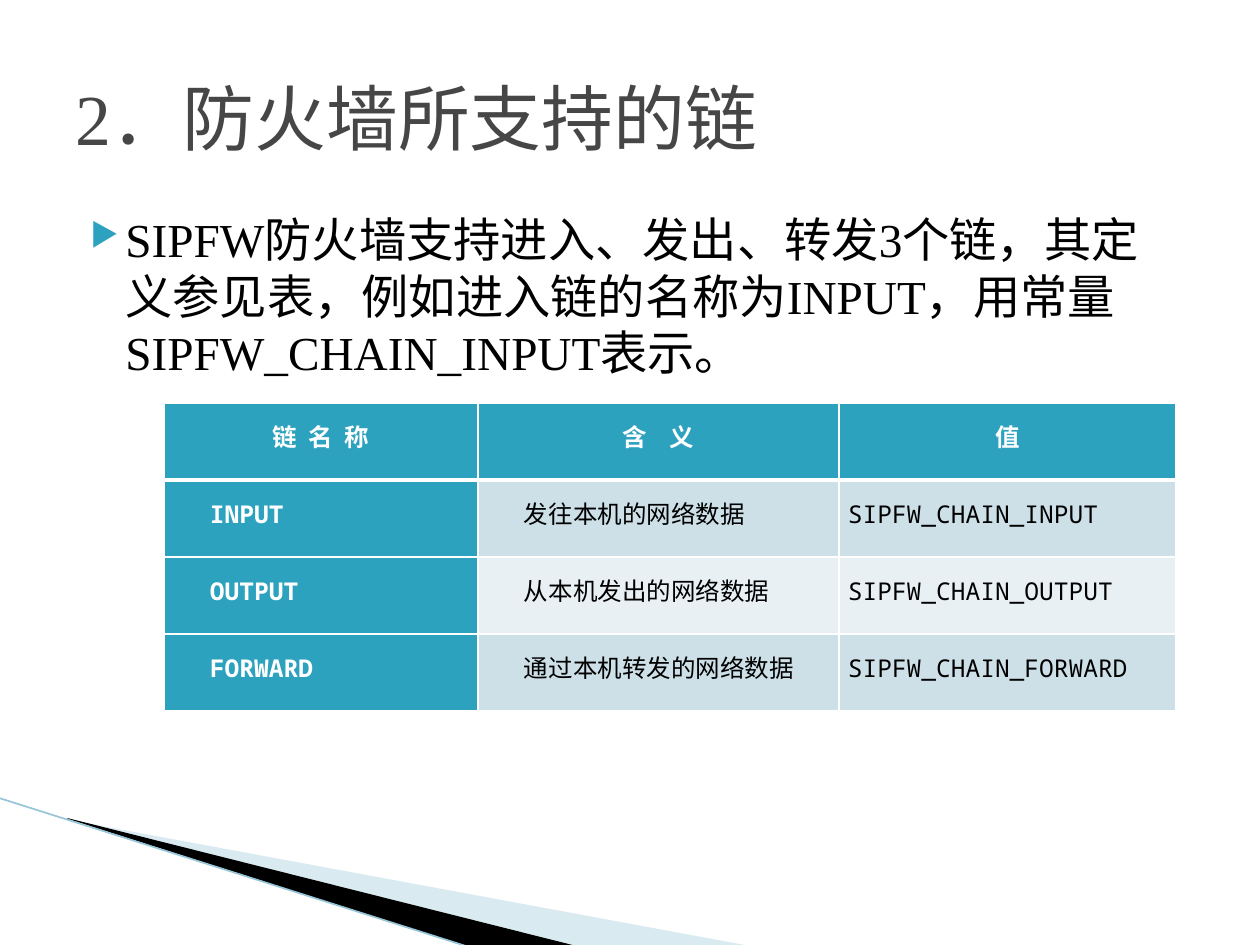
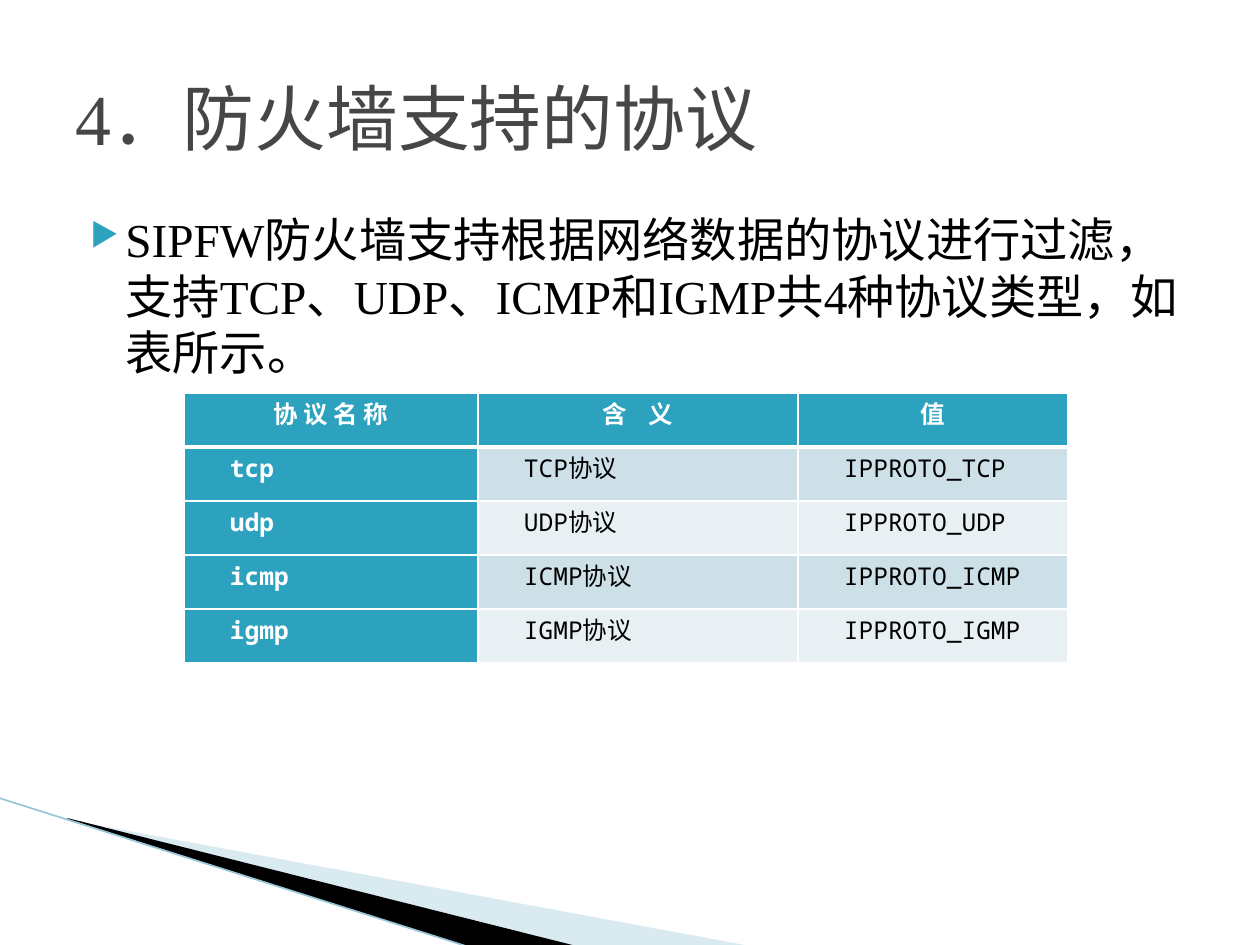
from dataclasses import dataclass
from lxml import etree
from pptx import Presentation
from pptx.dml.color import RGBColor
from pptx.enum.shapes import MSO_CONNECTOR
from pptx.enum.text import MSO_ANCHOR, PP_ALIGN
from pptx.oxml import parse_xml
from pptx.oxml.ns import nsdecls, qn
from pptx.util import Pt

LINE = MSO_CONNECTOR.STRAIGHT
MID, TOP = MSO_ANCHOR.MIDDLE, MSO_ANCHOR.TOP
MIDDLE, JUST = PP_ALIGN.CENTER, PP_ALIGN.JUSTIFY
PX = 914400 / 126


@dataclass(frozen=True)
class Theme:
    ink: str = "000000"
    gray: str = "464646"
    white: str = "FFFFFF"
    teal: str = "2DA2BF"
    odd: str = "CDE0E8"
    even: str = "E8F0F4"
    wedge: str = "A0CBDC"
    edge: str = "97C5D8"
    serif: str = "Times New Roman"
    mono: str = "Noto Sans Mono"
    head: int = 41
    body: int = 27
    cell: int = 14


T = Theme()


def px(*nums):
    return [round(n * PX) for n in nums]


def style(para, face, size, color, bold=False):
    font = para.font
    font.name, font.size, font.bold = face, Pt(size), bold
    font.color.rgb = RGBColor.from_string(color)


# Content: headers pair a label with its letter spacing in 1/100 pt
PAGES = [
    dict(
        title="2．防火墙所支持的链",
        text="SIPFW防火墙支持进入、发出、转发3个链，其定义参见表，例如进入链的名称为INPUT，"
             "用常量SIPFW_CHAIN_INPUT表示。",
        left=164, top=403, cols=[314, 361, 337], tall=77, lead=13.5,
        dents=[37, 37, 0],
        heads=[("链 名 称", 170), ("含 义", 470), ("值", 0)],
        rows=[("INPUT", "发往本机的网络数据", "SIPFW_CHAIN_INPUT"),
              ("OUTPUT", "从本机发出的网络数据", "SIPFW_CHAIN_OUTPUT"),
              ("FORWARD", "通过本机转发的网络数据", "SIPFW_CHAIN_FORWARD")],
    ),
    dict(
        title="4．防火墙支持的协议",
        text="SIPFW防火墙支持根据网络数据的协议进行过滤，支持TCP、UDP、ICMP和IGMP共4种协议类型，"
             "如表所示。",
        left=184, top=393, cols=[294, 320, 270], tall=54, lead=12.5,
        dents=[37, 37, 37],
        heads=[("协 议 名 称", 0), ("含 义", 470), ("值", 0)],
        rows=[(name, f"{name.upper()}协议", f"IPPROTO_{name.upper()}")
              for name in ("tcp", "udp", "icmp", "igmp")],
    ),
]
WEDGES = [
    (T.wedge, 40, [(69, 820), (750, 946), (575, 946), (69, 819)]),
    (T.ink, 100, [(67, 818), (576, 946), (469, 947), (68, 819)]),
]

deck = Presentation()
deck.slide_width, deck.slide_height = px(1260, 945)

for page in PAGES:
    slide = deck.slides.add_slide(deck.slide_layouts[6])
    shapes = slide.shapes

    # Corner wedges and their edge line
    for color, alpha, dots in WEDGES:
        pen = shapes.build_freeform(*dots[0], scale=PX)
        pen.add_line_segments(dots[1:])
        wedge = pen.convert_to_shape()
        wedge.shadow.inherit = False
        wedge.line.fill.background()
        wedge.fill.solid()
        wedge.fill.fore_color.rgb = RGBColor.from_string(color)
        if alpha < 100:
            tint = wedge.fill._xPr.find(".//" + qn("a:srgbClr"))
            etree.SubElement(tint, qn("a:alpha"), val=str(alpha * 1000))
    edge = shapes.add_connector(LINE, *px(-1, 798, 469, 947))
    edge.line.width = Pt(0.95)
    edge.line.color.rgb = RGBColor.from_string(T.edge)
    etree.SubElement(edge._element.spPr, qn("a:effectLst"))

    # Title and bulleted text
    for key, top, high, anchor, size, color in (
            ("title", 38, 157, MID, T.head, T.gray),
            ("text", 204, 624, TOP, T.body, T.ink)):
        frame = shapes.add_textbox(*px(63, top, 1134, high)).text_frame
        frame.word_wrap, frame.vertical_anchor = True, anchor
        para = frame.paragraphs[0]
        para.text = page[key]
        if key == "text":
            props = para._p.get_or_add_pPr()
            left, dent = px(50, -35)
            props.set("marL", str(left))
            props.set("indent", str(dent))
            for xml in (f'<a:buClr {nsdecls("a")}><a:srgbClr val="{T.teal}"/></a:buClr>',
                        f'<a:buSzPct {nsdecls("a")} val="68000"/>',
                        f'<a:buChar {nsdecls("a")} char="▶"/>'):
                props.append(parse_xml(xml))
        style(para, T.serif, size, color)

    # Table
    grid = [page["heads"]] + [[(word, 0) for word in row] for row in page["rows"]]
    cols, tall = page["cols"], page["tall"]
    table = shapes.add_table(
        len(grid), len(cols),
        *px(page["left"], page["top"], sum(cols), tall * len(grid))).table
    table.first_row = table.horz_banding = False
    for col, wide in zip(table.columns, px(*cols)):
        col.width = wide
    for r, row in enumerate(grid):
        table.rows[r].height = px(tall)[0]
        for c, (word, gap) in enumerate(row):
            cell = table.cell(r, c)
            main = r == 0 or c == 0
            band = T.teal if main else T.odd if r % 2 else T.even
            cell.fill.solid()
            cell.fill.fore_color.rgb = RGBColor.from_string(band)
            cell.vertical_anchor = MID
            cell.margin_left, cell.margin_right = px(9, 9)
            cell.margin_top = cell.margin_bottom = 0
            para = cell.text_frame.paragraphs[0]
            para.text = word
            para.alignment = JUST if r else MIDDLE
            para.line_spacing, para.space_after = Pt(page["lead"]), Pt(1)
            if r:
                para._p.get_or_add_pPr().set("indent", str(px(page["dents"][c])[0]))
            style(para, T.mono, T.cell, T.white if main else T.ink, main)
            if gap:
                para.runs[0]._r.get_or_add_rPr().set("spc", str(gap))
            # White rules, heavier between header and body
            for i, side in enumerate("LRTB"):
                thick = 3 if (r, side) in ((0, "B"), (1, "T")) else 1
                cell._tc.tcPr.insert(i, parse_xml(
                    f'<a:ln{side} {nsdecls("a")} w="{Pt(thick)}"><a:solidFill>'
                    f'<a:srgbClr val="{T.white}"/></a:solidFill></a:ln{side}>'))

deck.save("out.pptx")
